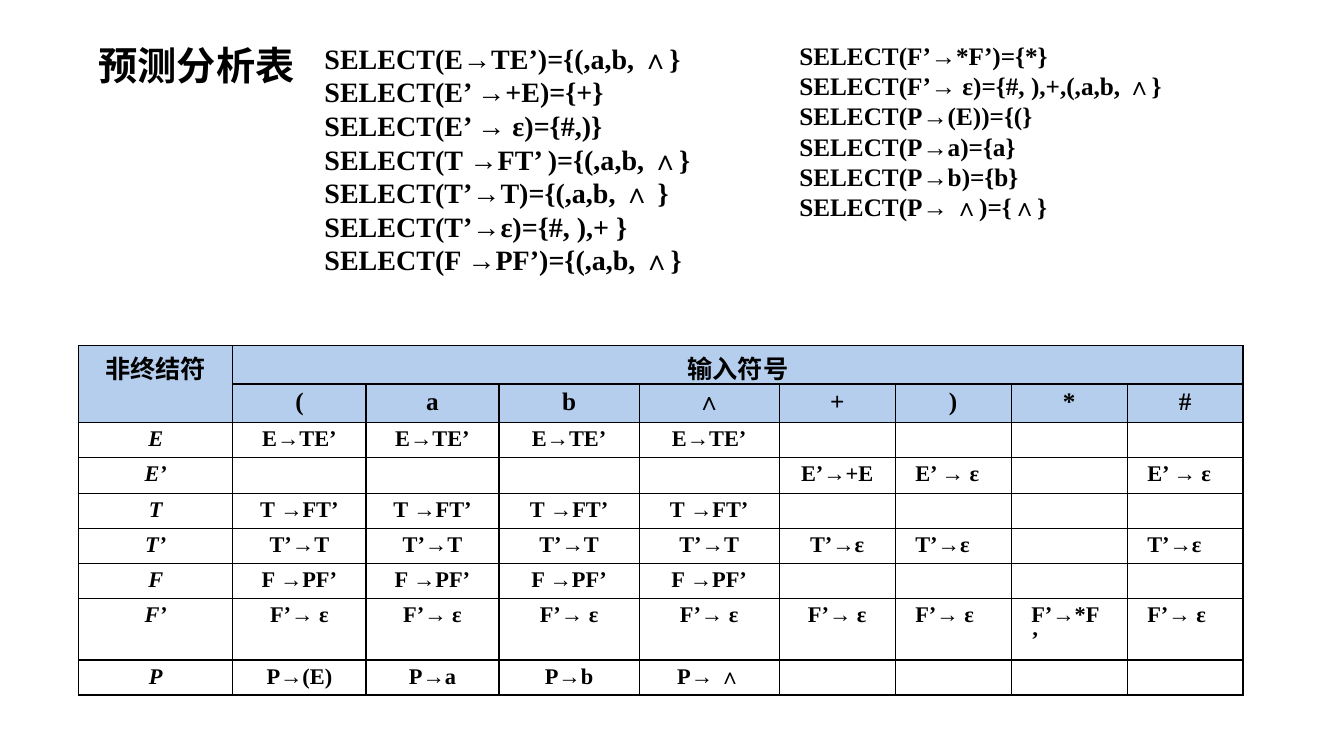
from lxml import etree
from pptx import Presentation
from pptx.dml.color import RGBColor
from pptx.enum.text import PP_ALIGN
from pptx.oxml.ns import qn
from pptx.util import Inches, Pt

CENTER, LEFT = PP_ALIGN.CENTER, PP_ALIGN.LEFT
COLORS = {"text": "000000", "border": "000000", "header": "B5CEED"}
LATIN, CJK = "Times New Roman", "Noto Sans CJK SC"

LEFT_SELECTS = [
    "SELECT(E→TE’)={(,a,b, ∧}",
    "SELECT(E’ →+E)={+}",
    "SELECT(E’ → ε)={#,)}",
    "SELECT(T →FT’ )={(,a,b, ∧}",
    "SELECT(T’→T)={(,a,b, ∧ }",
    "SELECT(T’→ε)={#, ),+ }",
    "SELECT(F →PF’)={(,a,b, ∧}",
]
RIGHT_SELECTS = [
    "SELECT(F’→*F’)={*}",
    "SELECT(F’→ ε)={#, ),+,(,a,b, ∧}",
    "SELECT(P→(E))={(}",
    "SELECT(P→a)={a}",
    "SELECT(P→b)={b}",
    "SELECT(P→ ∧)={∧}",
]
SYMBOLS = ["(", "a", "b", "∧", "+", ")", "*", "#"]
NONE = [""] * 4
PARSE_ROWS = [
    ["E"] + ["E→TE’"] * 4 + NONE,
    ["E’"] + NONE + ["E’→+E", "E’ → ε", "", "E’ → ε"],
    ["T"] + ["T →FT’"] * 4 + NONE,
    ["T’"] + ["T’→T"] * 4 + ["T’→ε", "T’→ε", "", "T’→ε"],
    ["F"] + ["F →PF’"] * 4 + NONE,
    ["F’"] + ["F’→ ε"] * 6 + ["F’→*F’", "F’→ ε"],
    ["P", "P→(E)", "P→a", "P→b", "P→ ∧"] + NONE,
]
COL_WIDTHS = [1.53] + [1.32] * 2 + [1.39] * 2 + [1.15] * 4
ROW_HEIGHTS = [0.38, 0.38, 0.34, 0.36] + [0.34] * 5


def add_run(p, text, size, font=LATIN, east_asian=LATIN, italic=False):
    r = p.add_run()
    r.text = text
    r.font.size = Pt(size)
    r.font.name = font
    r.font.bold = True
    r.font.italic = italic
    r.font.color.rgb = RGBColor.from_string(COLORS["text"])
    ea = etree.SubElement(r.font._element, qn("a:ea"))
    ea.set("typeface", east_asian)


def add_text(s, box, lines, size, east_asian=LATIN):
    tf = s.shapes.add_textbox(*map(Inches, box)).text_frame
    tf.word_wrap = True
    for i, line in enumerate(lines):
        p = tf.add_paragraph() if i else tf.paragraphs[0]
        add_run(p, line, size, east_asian=east_asian)


def add_borders(cell):
    tc_pr = cell._tc.get_or_add_tcPr()
    for side in ("a:lnL", "a:lnR", "a:lnT", "a:lnB"):
        ln = etree.SubElement(tc_pr, qn(side), w=str(Pt(1)))
        fill = etree.SubElement(ln, qn("a:solidFill"))
        etree.SubElement(fill, qn("a:srgbClr"), val=COLORS["border"])


def format_cell(cell, header):
    cell.margin_left = cell.margin_right = Inches(0.2)
    cell.margin_top = cell.margin_bottom = Inches(0.04)
    add_borders(cell)
    if header:
        cell.fill.solid()
        cell.fill.fore_color.rgb = RGBColor.from_string(COLORS["header"])
    else:
        cell.fill.background()


def fill_cell(cell, text, size, align=CENTER, **style):
    p = cell.text_frame.paragraphs[0]
    p.alignment = align
    if text:
        add_run(p, text, size, **style)
    else:
        etree.SubElement(p._p, qn("a:endParaRPr"), sz=str(size * 100))


def add_parse_table(s):
    frame = s.shapes.add_table(
        len(ROW_HEIGHTS), len(COL_WIDTHS), Inches(0.78), Inches(3.43),
        Inches(sum(COL_WIDTHS)), Inches(sum(ROW_HEIGHTS)))
    table = frame.table
    table.first_row = table.horz_banding = False
    for col, width in zip(table.columns, COL_WIDTHS):
        col.width = Inches(width)
    for i, (row, height) in enumerate(zip(table.rows, ROW_HEIGHTS)):
        row.height = Inches(height)
        for cell in row.cells:
            format_cell(cell, header=i < 2)

    table.cell(0, 0).merge(table.cell(1, 0))
    table.cell(0, 1).merge(table.cell(0, len(SYMBOLS)))
    for j, title in enumerate(["非终结符", "输入符号"]):
        fill_cell(table.cell(0, j), title, 18, font=CJK, east_asian=CJK)
    for j, symbol in enumerate(SYMBOLS, 1):
        fill_cell(table.cell(1, j), symbol, 18)
    for i, productions in enumerate(PARSE_ROWS, 2):
        for j, text in enumerate(productions):
            align = LEFT if j > 5 else CENTER
            fill_cell(table.cell(i, j), text, 16, align, italic=j == 0)


def main():
    prs = Presentation()
    prs.slide_width, prs.slide_height = Inches(13.33), Inches(7.5)
    s = prs.slides.add_slide(prs.slide_layouts[6])
    add_text(s, (0.88, 0.36, 6.67, 0.57), ["预测分析表"], 28, CJK)
    add_parse_table(s)
    add_text(s, (3.12, 0.36, 3.93, 2.46), LEFT_SELECTS, 20)
    add_text(s, (7.83, 0.35, 4.08, 1.92), RIGHT_SELECTS, 18)
    prs.save("out.pptx")


if __name__ == "__main__":
    main()
